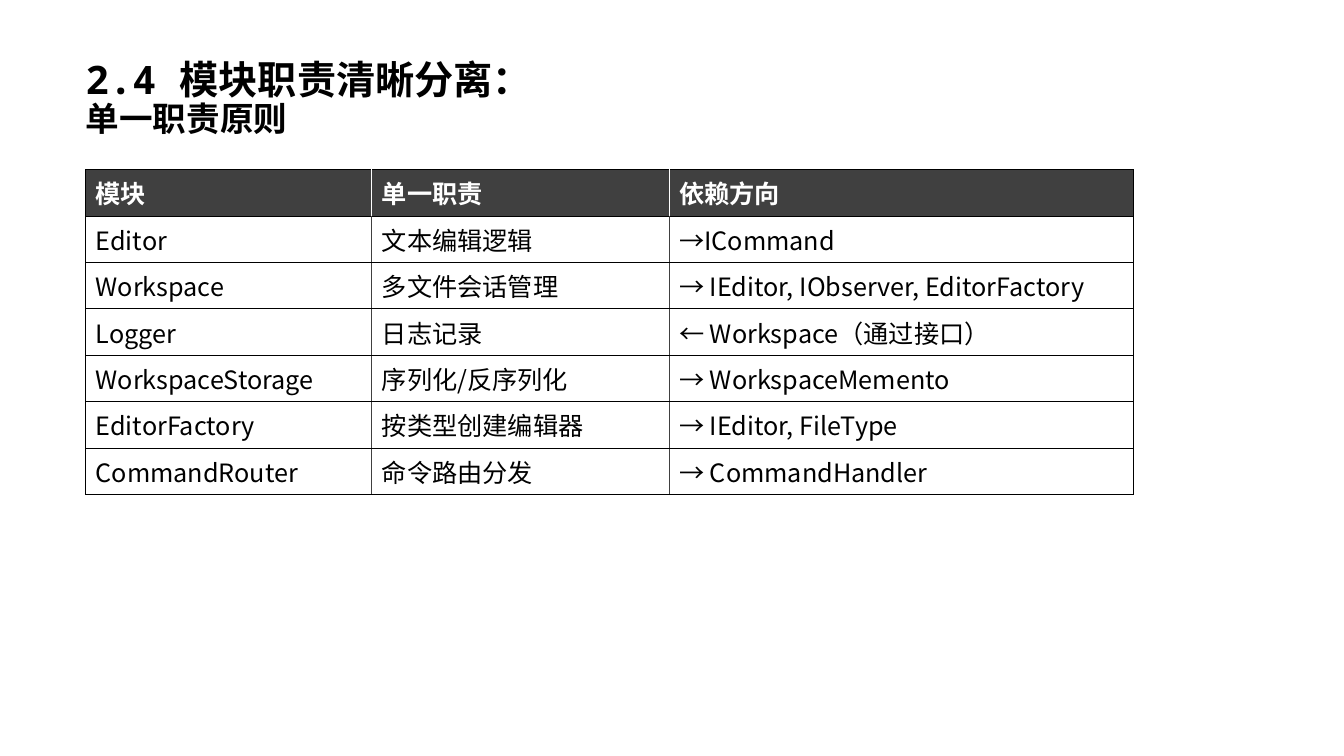
from dataclasses import dataclass

from lxml import etree
from pptx import Presentation
from pptx import util as u
from pptx.dml.color import RGBColor
from pptx.enum import text
from pptx.oxml.ns import qn


@dataclass
class Theme:
    title_font: str = "Noto Sans Mono"
    body_font: str = "Noto Sans CJK SC"
    title_size: float = 28
    subtitle_size: float = 24
    body_size: float = 18
    ink: str = "000000"
    paper: str = "FFFFFF"
    header: str = "404040"
    outer_line: float = 0.5
    inner_line: float = 0.75


class SlideBuilder:
    def __init__(self, presentation, theme):
        self.theme = theme
        self.slide = presentation.slides.add_slide(presentation.slide_layouts[6])

    def style(self, paragraph, name, size, color, bold):
        font = paragraph.font
        font.name, font.size, font.bold = name, u.Pt(size), bold
        font.color.rgb = RGBColor.from_string(color)
        # East Asian glyphs use the same typeface
        latin = paragraph._p.pPr.find(qn("a:defRPr")).find(qn("a:latin"))
        east_asian = etree.Element(qn("a:ea"), typeface=name)
        latin.addnext(east_asian)

    def heading(self, left, top, width, height, lines):
        box = self.slide.shapes.add_textbox(u.Cm(left), u.Cm(top), u.Cm(width), u.Cm(height))
        frame = box.text_frame
        frame.word_wrap = True
        frame.vertical_anchor = text.MSO_ANCHOR.TOP
        frame.margin_left = frame.margin_right = frame.margin_top = frame.margin_bottom = 0
        frame.text = "\n".join(line for line, _ in lines)
        for paragraph, (_, size) in zip(frame.paragraphs, lines):
            paragraph.line_spacing = 0.9
            self.style(paragraph, self.theme.title_font, size, self.theme.ink, True)

    def borders(self, cell, sides):
        properties = cell._tc.get_or_add_tcPr()
        for index, (side, (color, width)) in enumerate(sides.items()):
            line = etree.Element(qn(f"a:ln{side}"), w=str(u.Pt(width)))
            fill = etree.SubElement(line, qn("a:solidFill"))
            etree.SubElement(fill, qn("a:srgbClr"), val=color)
            properties.insert(index, line)

    def table(self, left, top, widths, row_height, rows):
        theme = self.theme
        frame = self.slide.shapes.add_table(
            len(rows), len(widths), u.Cm(left), u.Cm(top),
            u.Cm(sum(widths)), u.Cm(row_height * len(rows)))
        table = frame.table
        for column, width in zip(table.columns, widths):
            column.width = u.Cm(width)
        outer = (theme.ink, theme.outer_line)
        for row, values in enumerate(rows):
            is_header = row == 0
            inner = (theme.paper if is_header else theme.header, theme.inner_line)
            for column, value in enumerate(values):
                cell = table.cell(row, column)
                cell.text = value
                cell.fill.solid()
                cell.fill.fore_color.rgb = RGBColor.from_string(
                    theme.header if is_header else theme.paper)
                self.style(cell.text_frame.paragraphs[0], theme.body_font, theme.body_size,
                           theme.paper if is_header else theme.ink, is_header)
                self.borders(cell, {
                    "L": outer if column == 0 else inner,
                    "R": outer if column == len(widths) - 1 else inner,
                    "T": outer,
                    "B": outer,
                })


def main():
    presentation = Presentation()
    presentation.slide_width, presentation.slide_height = u.Cm(33.87), u.Cm(19.05)
    theme = Theme()
    builder = SlideBuilder(presentation, theme)

    # Heading
    builder.heading(2.16, 1.52, 28.45, 5.92, [
        ("2.4 模块职责清晰分离：", theme.title_size),
        ("单一职责原则", theme.subtitle_size),
    ])

    # Module responsibilities
    builder.table(2.16, 4.27, [7.21, 7.49, 11.71], 1.17, [
        ("模块", "单一职责", "依赖方向"),
        ("Editor", "文本编辑逻辑", "→ICommand"),
        ("Workspace", "多文件会话管理", "→ IEditor, IObserver, EditorFactory"),
        ("Logger", "日志记录", "← Workspace（通过接口）"),
        ("WorkspaceStorage", "序列化/反序列化", "→ WorkspaceMemento"),
        ("EditorFactory", "按类型创建编辑器", "→ IEditor, FileType"),
        ("CommandRouter", "命令路由分发", "→ CommandHandler"),
    ])
    presentation.save("out.pptx")


if __name__ == "__main__":
    main()
